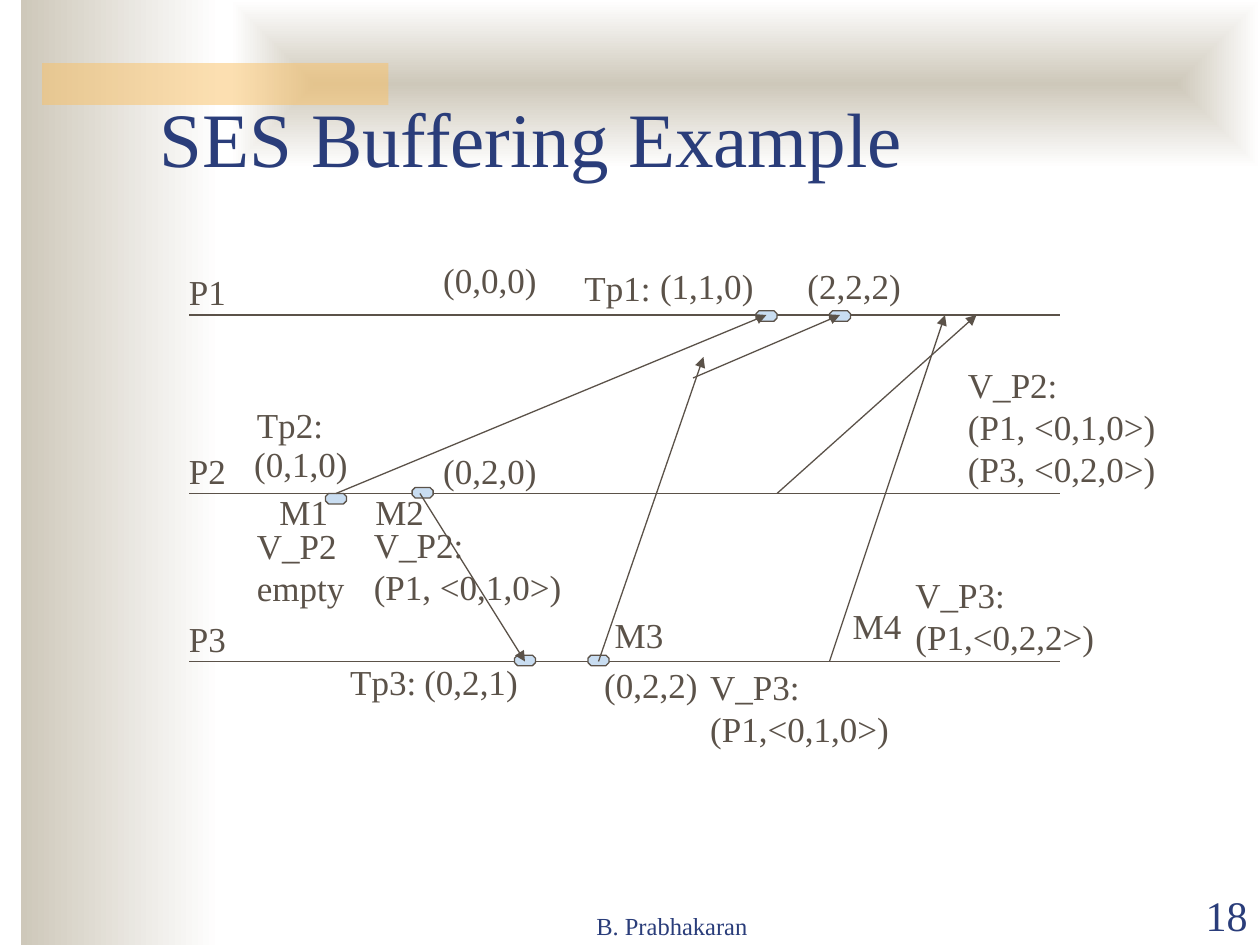
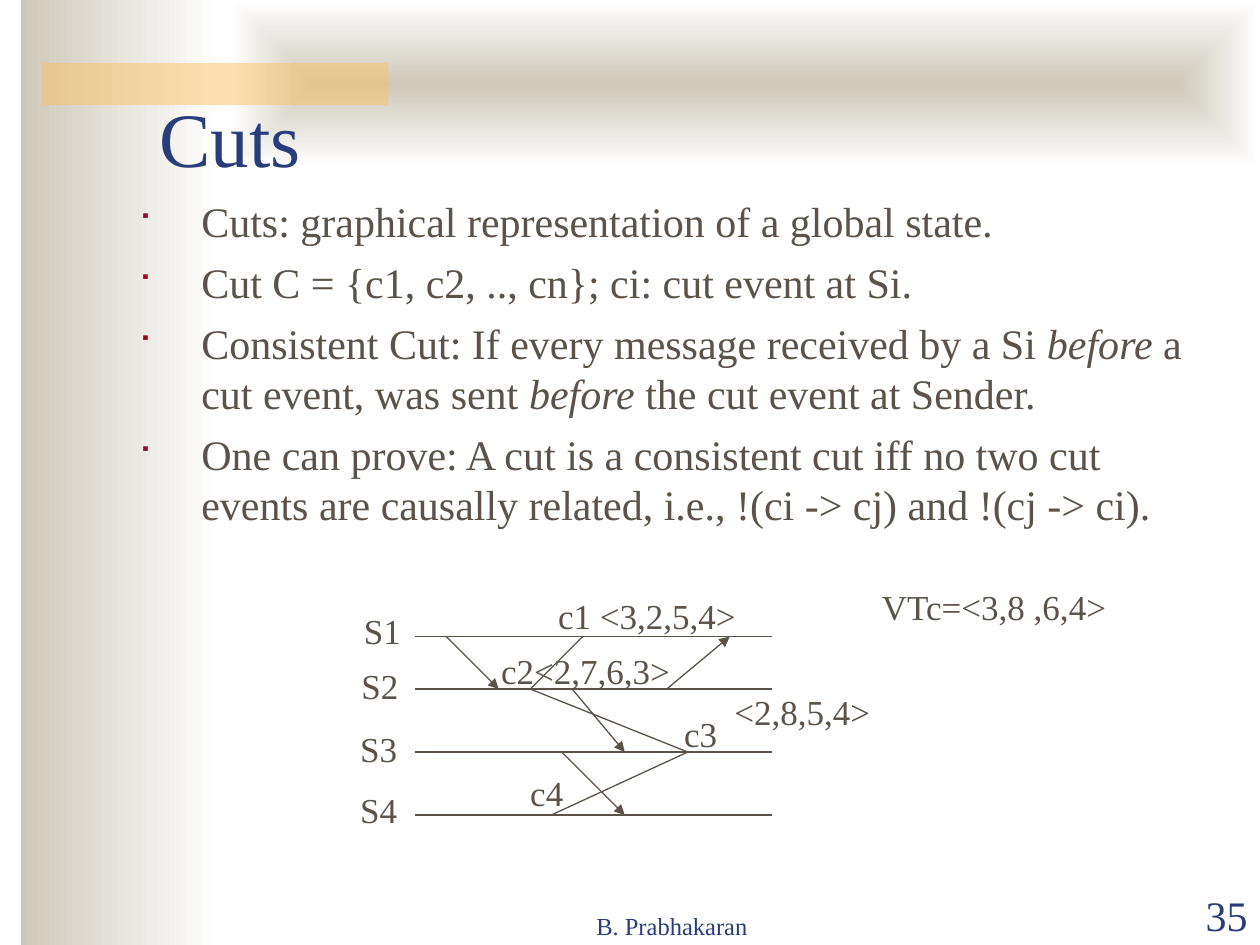
from dataclasses import dataclass
from typing import Any, NamedTuple

import pptx
import pptx.dml.color
import pptx.enum.shapes
import pptx.enum.text
import pptx.oxml
import pptx.oxml.ns
import pptx.util

Pt = pptx.util.Pt
RGB = pptx.dml.color.RGBColor.from_string
SHAPE = pptx.enum.shapes.MSO_SHAPE
ALIGN = pptx.enum.text.PP_ALIGN
ANCHOR = pptx.enum.text.MSO_ANCHOR
AUTO = pptx.enum.text.MSO_AUTO_SIZE
qn = pptx.oxml.ns.qn


# Theme
@dataclass(frozen=True)
class Theme:
    font: str = "Times New Roman"
    bullet_font: str = "Wingdings"
    navy: str = "2A3D7A"
    brown: str = "5B5249"
    sand: str = "CEC8BA"
    white: str = "FFFFFF"
    orange: str = "FAC164"
    event_blue: str = "C9DDF1"
    bullet_red: str = "A50021"
    title: int = 44
    body: int = 24
    label: int = 20
    footer: int = 14
    number: int = 24
    line: float = 0.75


THEME = Theme()


class Box(NamedTuple):
    x: float
    y: float
    w: float
    h: float


class Label(NamedTuple):
    x: float
    y: float
    w: float
    text: str  # one paragraph per line


class Line(NamedTuple):
    x1: float
    y1: float
    x2: float
    y2: float
    arrow: bool = True


# Drawing helpers
def apply(obj: Any, fmt: dict[str, Any]) -> None:
    for name, value in fmt.items():
        setattr(obj, name, value)


def add_xml(parent: Any, tag: str, **attrs: Any) -> Any:
    el = pptx.oxml.parse_xml(f"<{tag} {pptx.oxml.ns.nsdecls('a')}/>")
    for name, value in attrs.items():
        el.set(name, str(value))
    parent.append(el)
    return el


def add_run(p: Any, text: str, size: float, color: str, italic: bool = False) -> None:
    r = p.add_run()
    r.text = text
    apply(r.font, {"name": THEME.font, "size": Pt(size), "italic": italic})
    r.font.color.rgb = RGB(color)


def add_text(s: Any, box: Box, text: str, size: float, color: str,
             frame: dict[str, Any], align: Any = ALIGN.LEFT) -> None:
    tf = s.shapes.add_textbox(*map(Pt, box)).text_frame
    apply(tf, frame)
    for i, line in enumerate(text.split("\n")):
        p = tf.add_paragraph() if i else tf.paragraphs[0]
        p.alignment = align
        add_run(p, line, size, color)


def add_label(s: Any, label: Label) -> None:
    height = 31.7 + 23.8 * label.text.count("\n")
    add_text(s, Box(label.x, label.y, label.w, height), label.text, THEME.label,
             THEME.brown, {"word_wrap": False, "auto_size": AUTO.SHAPE_TO_FIT_TEXT})


def set_line(sp: Any) -> None:
    sp.line.width = Pt(THEME.line)
    sp.line.color.rgb = RGB(THEME.brown)


def add_line(s: Any, line: Line) -> None:
    ends = map(Pt, (line.x1, line.y1, line.x2, line.y2))
    sp = s.shapes.add_connector(pptx.enum.shapes.MSO_CONNECTOR.STRAIGHT, *ends)
    set_line(sp)
    sp_pr = sp._element.spPr
    if line.arrow:
        add_xml(sp_pr.find(qn("a:ln")), "a:tailEnd", type="triangle")
    add_xml(sp_pr, "a:effectLst")


def add_shape(s: Any, kind: Any, box: Box) -> Any:
    sp = s.shapes.add_shape(kind, *map(Pt, box))
    sp.shadow.inherit = False
    return sp


def add_event(s: Any, x: float, y: float) -> None:
    sp = add_shape(s, SHAPE.OCTAGON, Box(x, y, 12, 6))
    sp.adjustments[0] = 0.29
    sp.fill.solid()
    sp.fill.fore_color.rgb = RGB(THEME.event_blue)
    set_line(sp)


def add_gradient_band(s: Any, box: Box, from_centre: bool) -> None:
    sp = add_shape(s, SHAPE.RECTANGLE, box)
    sp.line.fill.background()
    sp.fill.gradient()
    sp.fill.gradient_angle = 0
    for stop, color in zip(sp.fill.gradient_stops, (THEME.sand, THEME.white)):
        stop.color.rgb = RGB(color)
    if from_centre:
        grad = sp._element.spPr.find(qn("a:gradFill"))
        grad.remove(grad.find(qn("a:lin")))
        centre = add_xml(grad, "a:path", path="rect")
        add_xml(centre, "a:fillToRect", **dict.fromkeys("ltrb", 50000))


# Shared slide frame: bands, footer, number, title
def add_slide(prs: Any, title: str, number: int) -> Any:
    s = prs.slides.add_slide(prs.slide_layouts[6])
    add_gradient_band(s, Box(12, 0, 114, 540), from_centre=False)
    add_gradient_band(s, Box(132, 0, 588, 96), from_centre=True)
    bar = add_shape(s, SHAPE.RECTANGLE, Box(24, 36, 198, 24))
    bar.line.fill.background()
    bar.fill.solid()
    bar.fill.fore_color.rgb = RGB(THEME.orange)
    add_xml(bar._element.spPr.find(qn("a:solidFill"))[0], "a:alpha", val=50000)

    frame = {"word_wrap": True, "vertical_anchor": ANCHOR.BOTTOM}
    for box, text, size, align in (
        (Box(270, 504.7, 228, 36), "B. Prabhakaran", THEME.footer, ALIGN.CENTER),
        (Box(648, 504.7, 72, 36), str(number), THEME.number, ALIGN.RIGHT),
        (Box(84, 18, 612, 90), title, THEME.title, ALIGN.LEFT),
    ):
        add_text(s, box, text, size, THEME.navy, frame, align)
    return s


def add_bullets(s: Any, box: Box, items: list[str]) -> None:
    """Words between asterisks are set in italics."""
    tf = s.shapes.add_textbox(*map(Pt, box)).text_frame
    tf.word_wrap = True
    for i, item in enumerate(items):
        p = tf.add_paragraph() if i else tf.paragraphs[0]
        p.space_before = Pt(6 if i else 0)
        p_pr = p._p.get_or_add_pPr()
        p_pr.set("marL", str(Pt(36)))
        p_pr.set("indent", str(-Pt(36)))
        add_xml(add_xml(p_pr, "a:buClr"), "a:srgbClr", val=THEME.bullet_red)
        add_xml(p_pr, "a:buSzPct", val=75000)
        add_xml(p_pr, "a:buFont", typeface=THEME.bullet_font, charset=2)
        add_xml(p_pr, "a:buChar", char="■")
        for j, part in enumerate(item.split("*")):
            add_run(p, part, THEME.body, THEME.brown, italic=j % 2 == 1)


# Slide: SES buffering
def build_buffering(prs: Any) -> None:
    s = add_slide(prs, "SES Buffering Example", 18)
    p1, p2, p3 = lanes = (180, 282, 378)
    for y in lanes:
        add_line(s, Line(108, y, 606, y, arrow=False))
    for x, y in ((474, 177.6), (432, 177.6), (186, 282), (235.5, 278.6),
                 (336, 374.4), (294, 374.4)):
        add_event(s, x, y)
    for message in (
        Line(192, p2, 438, p1),
        Line(240, p2, 300, p3),
        Line(342, p3, 402, 204),
        Line(396, 216, 480, p1),
        Line(474, p3, 540, p1),
        Line(444, p2, 558, p1),
    ):
        add_line(s, message)

    for i, y in enumerate(lanes, 1):
        add_label(s, Label(100.8, y - 28.8, 37, f"P{i}"))
    messages = ((152.6, 276.5), (207.4, 276.5), (344.2, 347.3), (480.2, 342))
    for i, (x, y) in enumerate(messages, 1):
        add_label(s, Label(x, y, 44, f"M{i}"))
    for i, (x, y) in enumerate(((326.9, 149), (139.7, 226.8), (193, 373.7)), 1):
        add_label(s, Label(x, y, 54, f"Tp{i}:"))
    for x, y, clock in (
        (246.2, 144, "(0,0,0)"),
        (370.1, 147.6, "(1,1,0)"),
        (454.3, 147.6, "(2,2,2)"),
        (138.2, 249.1, "(0,1,0)"),
        (246.2, 253.6, "(0,2,0)"),
        (235.4, 373.7, "(0,2,1)"),
        (338.2, 375.8, "(0,2,2)"),
    ):
        add_label(s, Label(x, y, 69, clock))
    for vector in (
        Label(139.7, 295.9, 66, "V_P2\nempty"),
        Label(206.5, 295.6, 123, "V_P2:\n(P1, <0,1,0>)"),
        Label(398.7, 376.6, 118, "V_P3:\n(P1,<0,1,0>)"),
        Label(516, 324, 118, "V_P3:\n(P1,<0,2,2>)"),
        Label(546, 204, 123, "V_P2:\n(P1, <0,1,0>)\n(P3, <0,2,0>)"),
    ):
        add_label(s, vector)


# Slide: cuts
def build_cuts(prs: Any) -> None:
    s = add_slide(prs, "Cuts", 35)
    add_bullets(s, Box(72, 108, 612, 324), [
        "Cuts: graphical representation of a global state.",
        "Cut C = {c1, c2, .., cn}; ci: cut event at Si.",
        "Consistent Cut: If every message received by a Si *before* a cut event, "
        "was sent *before* the cut event at Sender.",
        "One can prove: A cut is a consistent cut iff no two cut events are "
        "causally related, i.e., !(ci -> cj) and !(cj -> ci).",
    ])

    s1, s2, s3, s4 = lanes = (363.75, 393.75, 429.75, 465.75)
    for y in lanes:
        add_line(s, Line(237, y, 441, y, arrow=False))
    for message in (
        Line(255, s1, 285, s2),
        Line(381, s2, 417, s1),
        Line(327, s2, 357, s3),
        Line(321, s3, 357, s4),
    ):
        add_line(s, message)

    # The cut crosses every lane once
    add_line(s, Line(333, s1, 303, s2, arrow=False))
    path = s.shapes.build_freeform(Pt(303), Pt(s2))
    path.add_line_segments([(Pt(393), Pt(s3)), (Pt(315), Pt(s4))], close=False)
    sp = path.convert_to_shape()
    sp.shadow.inherit = False
    sp.fill.background()
    set_line(sp)

    sites = ((200.9, 344.5), (199.4, 376), (198.7, 412), (198.7, 447.1))
    for i, (x, y) in enumerate(sites, 1):
        add_label(s, Label(x, y, 37, f"S{i}"))
    for label in (
        Label(311.8, 336.2, 117, "c1 <3,2,5,4>"),
        Label(279.2, 367.5, 112, "c2<2,7,6,3>"),
        Label(383.8, 403.5, 35, "c3"),
        Label(295.9, 437.3, 35, "c4"),
        Label(496.8, 331.2, 145, "VTc=<3,8 ,6,4>"),
        Label(412.6, 391, 94, "<2,8,5,4>"),
    ):
        add_label(s, label)


def main() -> None:
    prs = pptx.Presentation()
    apply(prs, {"slide_width": Pt(720), "slide_height": Pt(540)})
    build_buffering(prs)
    build_cuts(prs)
    prs.save("out.pptx")


if __name__ == "__main__":
    main()
